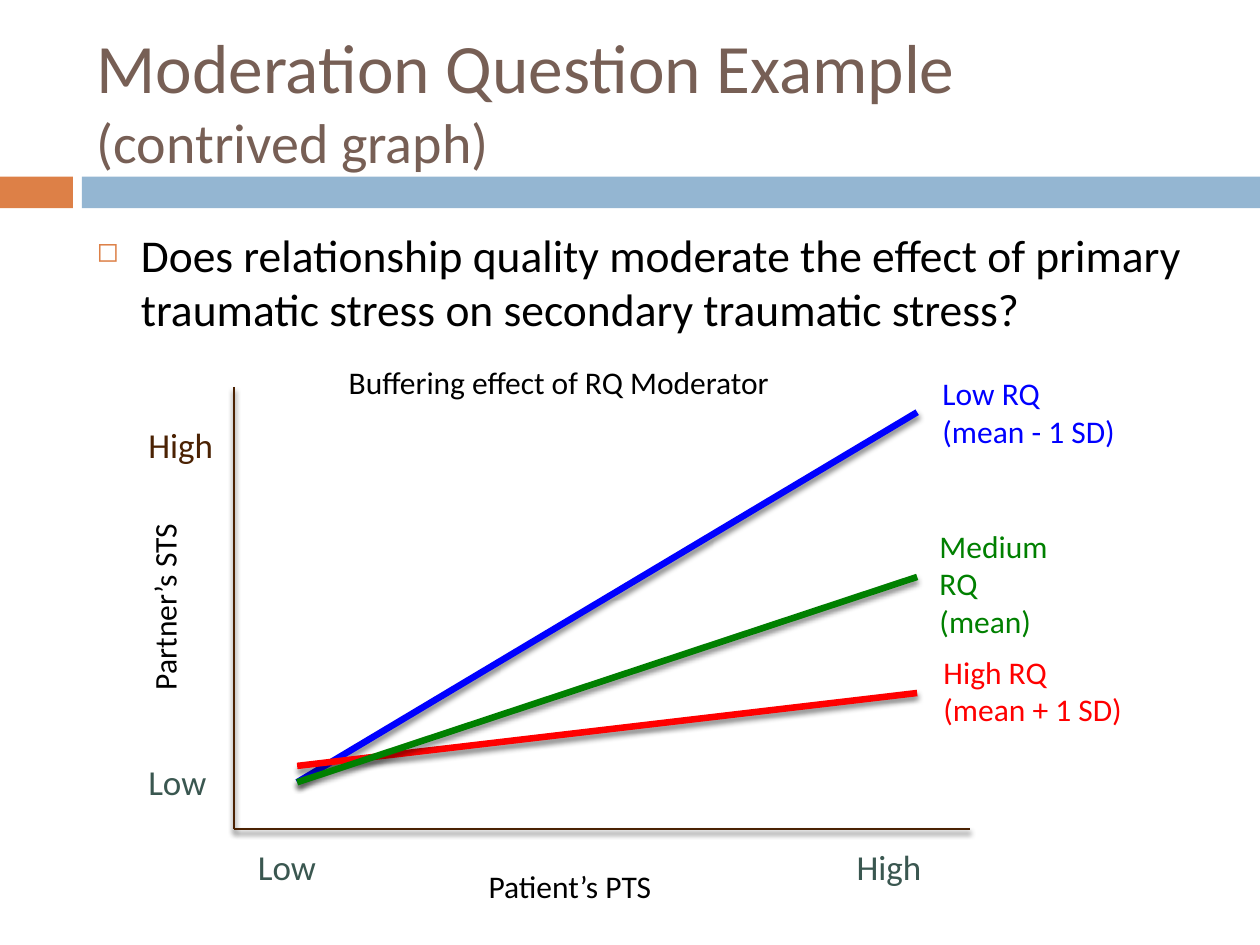
import pptx
import pptx.dml.color
import pptx.enum.shapes
import pptx.enum.text
import pptx.oxml
import pptx.oxml.ns
import pptx.util

Cm = pptx.util.Cm
Pt = pptx.util.Pt
Color = pptx.dml.color.RGBColor
Anchor = pptx.enum.text.MSO_ANCHOR

ORANGE = Color(0xDD, 0x80, 0x47)
SKY = Color(0x94, 0xB6, 0xD2)
TAUPE = Color(0x77, 0x5F, 0x55)
BLACK = Color(0x00, 0x00, 0x00)
BROWN = Color(0x4B, 0x22, 0x03)
PINE = Color(0x3A, 0x57, 0x50)
BLUE = Color(0x00, 0x00, 0xFF)
GREEN = Color(0x00, 0x80, 0x00)
RED = Color(0xFF, 0x00, 0x00)

SPACE = pptx.oxml.ns.nsdecls("a")
SHADOW = (
    f'<a:effectLst {SPACE}><a:outerShdw blurRad="{Pt(3)}" dist="{Pt(2.4)}" '
    'dir="5400000" rotWithShape="0"><a:srgbClr val="000000">'
    '<a:alpha val="45000"/></a:srgbClr></a:outerShdw></a:effectLst>'
)
BULLET = (
    f'<a:buClr {SPACE}><a:srgbClr val="{ORANGE}"/></a:buClr>',
    f'<a:buSzPct {SPACE} val="60000"/>',
    f'<a:buChar {SPACE} char="◻"/>',
)


class Maker:
    font = "Calibri"

    def __init__(self, slide):
        self.slide = slide

    def band(self, left, width, color):
        kind = pptx.enum.shapes.MSO_SHAPE.RECTANGLE
        shape = self.slide.shapes.add_shape(kind, Cm(left), Cm(3.56), Cm(width), Cm(0.64))
        shape.shadow.inherit = False
        shape.fill.solid()
        shape.fill.fore_color.rgb = color
        shape.line.fill.background()

    def line(self, start, end, color, width):
        kind = pptx.enum.shapes.MSO_CONNECTOR.STRAIGHT
        link = self.slide.shapes.add_connector(kind, *map(Cm, start + end))
        link.line.color.rgb = color
        link.line.width = Pt(width)
        link._element.spPr.append(pptx.oxml.parse_xml(SHADOW))

    def text(self, box, rows, color, size=18, turn=0, anchor=Anchor.TOP):
        shape = self.slide.shapes.add_textbox(*map(Cm, box))
        shape.rotation = turn
        frame = shape.text_frame
        for name, value in {"word_wrap": True, "vertical_anchor": anchor}.items():
            setattr(frame, name, value)
        frame.text = "\n".join(rows)
        for para in frame.paragraphs:
            for run in para.runs:
                self.style(run.font, color, size)
        return frame

    def style(self, font, color, size):
        for name, value in {"name": self.font, "size": Pt(size)}.items():
            setattr(font, name, value)
        font.color.rgb = color

    def title(self, box, head, sub):
        frame = self.text(box, [head], TAUPE, 39.6, anchor=Anchor.MIDDLE)
        para = frame.paragraphs[0]
        para.add_line_break()
        run = para.add_run()
        run.text = sub
        self.style(run.font, TAUPE, 32)

    def point(self, box, words):
        para = self.text(box, [words], BLACK, 26).paragraphs[0]
        props = para._p.get_or_add_pPr()
        for name, value in {"marL": Cm(0.89), "indent": -Cm(0.89)}.items():
            props.set(name, str(value))
        for part in BULLET:
            props.append(pptx.oxml.parse_xml(part))


def main():
    deck = pptx.Presentation()
    deck.slide_width, deck.slide_height = Cm(25.4), Cm(19.05)
    make = Maker(deck.slides.add_slide(deck.slide_layouts[6]))

    make.band(0, 1.47, ORANGE)
    make.band(1.65, 23.75, SKY)
    make.title((1.7, 0.64, 22.66, 2.74), "Moderation Question Example", "(contrived graph)")
    make.point(
        (1.7, 4.45, 22.66, 2.59),
        "Does relationship quality moderate the effect of primary "
        "traumatic stress on secondary traumatic stress?",
    )

    corner = (4.72, 16.71)
    for start, end in (((4.72, 7.8), corner), (corner, (19.56, 16.71))):
        make.line(start, end, BROWN, 1.5)

    for box, rows, color in (
        ((18.75, 7.42, 4.04, 1.8), ["Low RQ", "(mean - 1 SD)"], BLUE),
        ((18.69, 10.49, 3.2, 2.7), ["Medium RQ", "(mean)"], GREEN),
        ((18.77, 13.03, 4.27, 1.8), ["High RQ", "(mean + 1 SD)"], RED),
    ):
        make.text(box, rows, color)

    make.text((0.53, 10.59, 5.84, 1.3), ["Partner’s STS"], BLACK, turn=270)
    make.text((9.6, 17.35, 5.66, 1.3), ["Patient’s PTS"], BLACK)
    for left, top, word, color in (
        (4.95, 16.92, "Low", PINE),
        (2.74, 15.21, "Low", PINE),
        (2.74, 8.41, "High", BROWN),
        (17.02, 16.92, "High", PINE),
    ):
        make.text((left, top, 1.98, 1.12), [word], color, 20)

    for low, high, color in ((15.77, 8.31, BLUE), (15.44, 13.97, RED), (15.77, 11.63, GREEN)):
        make.line((5.99, low), (18.49, high), color, 3.75)
    make.text((6.78, 7.19, 12.83, 1.3), ["Buffering effect of RQ Moderator"], BLACK)

    deck.save("out.pptx")


if __name__ == "__main__":
    main()
